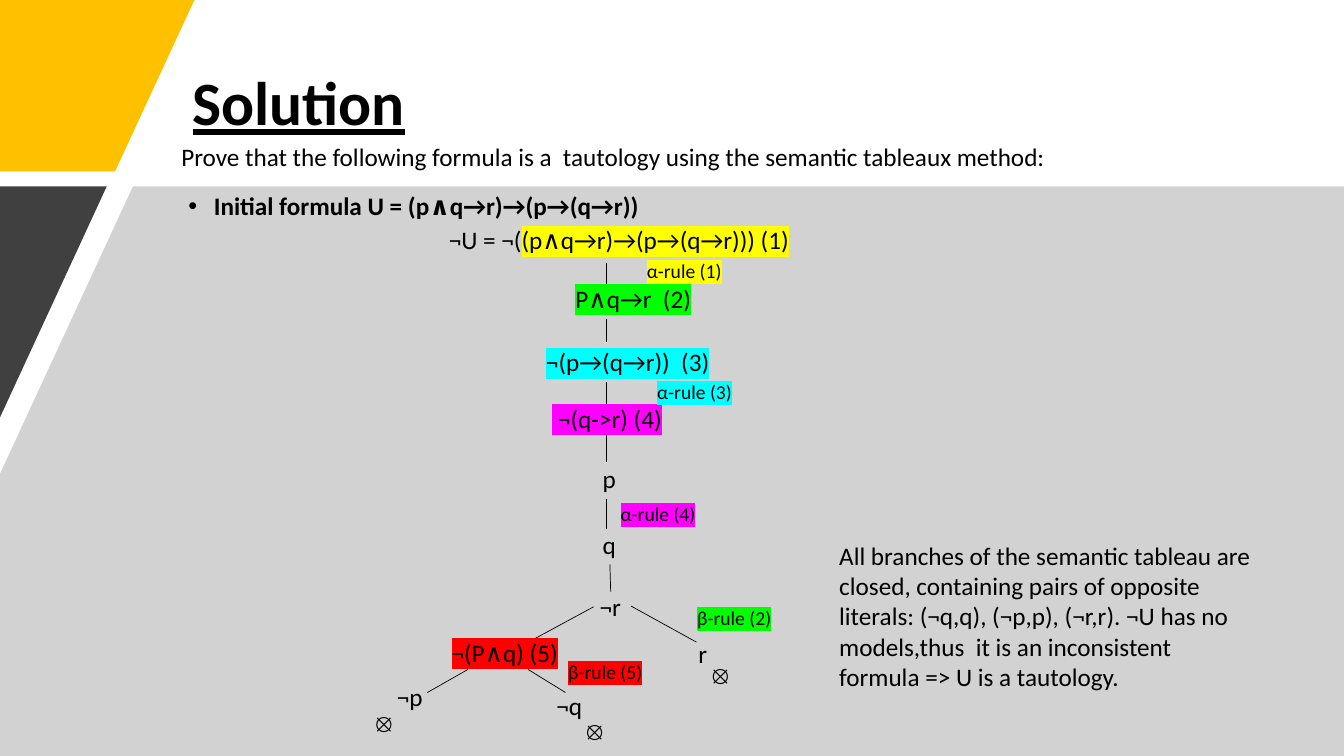
from dataclasses import dataclass

from lxml import etree
from pptx import Presentation
from pptx.dml.color import RGBColor
from pptx.enum.shapes import MSO_CONNECTOR
from pptx.enum.text import MSO_ANCHOR, PP_ALIGN
from pptx.oxml.ns import qn
from pptx.util import Cm, Pt

STRAIGHT = MSO_CONNECTOR.STRAIGHT
MIDDLE = MSO_ANCHOR.MIDDLE
LEFT = PP_ALIGN.LEFT
TITLE_ONLY = 5


@dataclass(frozen=True)
class Theme:
    font: str = "Calibri"
    ink: str = "000000"
    amber: str = "FFC000"
    grey: str = "A6A6A6"
    charcoal: str = "404040"
    yellow: str = "FFFF00"
    green: str = "00FF00"
    cyan: str = "00FFFF"
    magenta: str = "FF00FF"
    red: str = "FF0000"
    title_size: float = 44
    body_size: float = 18
    rule_size: float = 14
    branch_width: float = 0.5


THEME = Theme()


@dataclass(frozen=True)
class Panel:
    points: tuple[tuple[float, float], ...]
    color: str
    opacity: int = 100


@dataclass(frozen=True)
class Branch:
    x1: float
    y1: float
    x2: float
    y2: float


@dataclass(frozen=True)
class Label:
    left: float
    top: float
    width: float
    text: str
    highlight: str = ""
    size: float = THEME.body_size
    lead: str = ""  # unhighlighted text in front
    bold: bool = False
    height: float = 1.02


def rule(left: float, top: float, text: str, highlight: str) -> Label:
    return Label(left, top, 2.9, text, highlight, THEME.rule_size, height=0.86)


def literal(left: float, top: float, text: str) -> Label:
    return Label(left, top, 1.6, text)


# All positions are in centimetres
PANELS = [
    Panel(((0, 0), (4.9, 0), (2.9, 4.32), (0, 4.32)), THEME.amber),
    Panel(((3.35, 4.7), (33.87, 4.7), (33.87, 19.05), (0, 19.05), (0, 11.94)),
          THEME.grey, 50),
    Panel(((0, 4.7), (2.69, 4.7), (0, 10.52)), THEME.charcoal),
]

BRANCHES = [
    Branch(15.27, 6.63, 15.27, 7.19),
    Branch(15.29, 8.05, 15.29, 8.61),
    Branch(15.29, 9.63, 15.29, 10.29),
    Branch(15.29, 10.97, 15.29, 11.63),
    Branch(15.29, 12.57, 15.29, 13.34),
    Branch(15.37, 14.22, 15.39, 14.91),
    Branch(13.41, 16.13, 14.96, 15.29),
    Branch(15.9, 15.27, 17.55, 16.18),
    Branch(13.31, 16.87, 14.25, 17.45),
    Branch(11.79, 16.87, 10.77, 17.45),
]

INITIAL_FORMULA = Label(4.5, 4.75, 26.01, "Initial formula U = (p∧q→r)→(p→(q→r))",
                        bold=True, height=11.23)

LABELS = [
    Label(4.32, 3.43, 24.18, "Prove that the following formula is a  tautology "
          "using the semantic tableaux method:"),
    # Formulas of the tableau
    Label(11.06, 5.54, 10.5, "(p∧q→r)→(p→(q→r))) (1)", THEME.yellow, lead="¬U = ¬("),
    Label(14.25, 7.01, 5.5, "P∧q→r  (2)", THEME.green),
    Label(13.51, 8.61, 5.5, "¬(p→(q→r))  (3)", THEME.cyan),
    Label(13.67, 10.03, 5.5, " ¬(q->r) (4)", THEME.magenta),
    Label(11.13, 15.93, 5.5, "¬(P∧q) (5)", THEME.red),
    # Literals and closed branches
    literal(14.94, 11.56, "p"),
    literal(14.94, 13.21, "q"),
    literal(14.86, 14.78, "¬r"),
    literal(17.35, 15.95, "r"),
    literal(9.75, 17.04, "¬p"),
    literal(13.77, 17.27, "¬q"),
    literal(17.7, 16.46, "⦻"),
    literal(9.22, 17.68, "⦻"),
    literal(14.53, 17.88, "⦻"),
    # Rules applied
    rule(16.05, 6.4, "α-rule (1)", THEME.yellow),
    rule(16.31, 9.45, "α-rule (3)", THEME.cyan),
    rule(15.39, 12.52, "α-rule (4)", THEME.magenta),
    rule(17.32, 15.14, "β-rule (2)", THEME.green),
    rule(14.07, 16.51, "β-rule (5)", THEME.red),
    # Conclusion
    Label(20.9, 13.49, 10.95, "All branches of the semantic tableau are closed, "
          "containing pairs of opposite literals: (¬q,q), (¬p,p), (¬r,r). ¬U has no "
          "models,thus  it is an inconsistent formula => U is a tautology.", height=4.88),
]


def style_span(span, size: float, bold: bool = False, highlight: str = "") -> None:
    span.font.size = Pt(size)
    span.font.bold = bold
    span.font.color.rgb = RGBColor.from_string(THEME.ink)
    span.font.name = THEME.font
    if highlight:
        mark = etree.Element(qn("a:highlight"))
        etree.SubElement(mark, qn("a:srgbClr"), val=highlight)
        span.font._element.find(qn("a:solidFill")).addnext(mark)


def draw_panel(slide, panel: Panel) -> None:
    corners = [(Cm(x), Cm(y)) for x, y in panel.points]
    builder = slide.shapes.build_freeform(*corners[0])
    builder.add_line_segments(corners[1:], close=True)
    shape = builder.convert_to_shape()
    shape.shadow.inherit = False
    shape.line.fill.background()
    shape.fill.solid()
    shape.fill.fore_color.rgb = RGBColor.from_string(panel.color)
    if panel.opacity < 100:
        color = shape._element.spPr.find(qn("a:solidFill"))[0]
        etree.SubElement(color, qn("a:alpha"), val=str(panel.opacity * 1000))


def draw_branch(slide, branch: Branch) -> None:
    line = slide.shapes.add_connector(STRAIGHT, Cm(branch.x1), Cm(branch.y1),
                                      Cm(branch.x2), Cm(branch.y2))
    line.line.color.rgb = RGBColor.from_string(THEME.ink)
    line.line.width = Pt(THEME.branch_width)
    etree.SubElement(line._element.spPr, qn("a:effectLst"))


def draw_label(slide, label: Label):
    box = slide.shapes.add_textbox(Cm(label.left), Cm(label.top),
                                   Cm(label.width), Cm(label.height))
    box.text_frame.word_wrap = True
    para = box.text_frame.paragraphs[0]
    if label.lead:
        para.text = label.lead
        style_span(para.runs[0], label.size)
    span = para.add_run()
    span.text = label.text
    style_span(span, label.size, label.bold, label.highlight)
    return para


def add_bullet(para) -> None:
    para.line_spacing = 0.9
    properties = para._p.get_or_add_pPr()
    properties.set("marL", str(Cm(0.64)))
    properties.set("indent", str(-Cm(0.64)))
    etree.SubElement(properties, qn("a:buFont"), typeface="Arial")
    etree.SubElement(properties, qn("a:buChar"), char="•")


def format_title(slide) -> None:
    title = slide.shapes.title
    title.left, title.top, title.width, title.height = Cm(4.6), Cm(1.02), Cm(26.01), Cm(3.3)
    title.text_frame.text = "Solution"
    title.text_frame.vertical_anchor = MIDDLE
    para = title.text_frame.paragraphs[0]
    para.alignment = LEFT
    para.line_spacing = 0.9
    style_span(para.runs[0], THEME.title_size, bold=True)
    para.runs[0].font.underline = True


def main() -> None:
    deck = Presentation()
    deck.slide_width, deck.slide_height = Cm(33.87), Cm(19.05)
    page = deck.slides.add_slide(deck.slide_layouts[TITLE_ONLY])
    format_title(page)
    for panel in PANELS:
        draw_panel(page, panel)
    for branch in BRANCHES:
        draw_branch(page, branch)
    add_bullet(draw_label(page, INITIAL_FORMULA))
    for label in LABELS:
        draw_label(page, label)
    deck.save("out.pptx")


if __name__ == "__main__":
    main()
